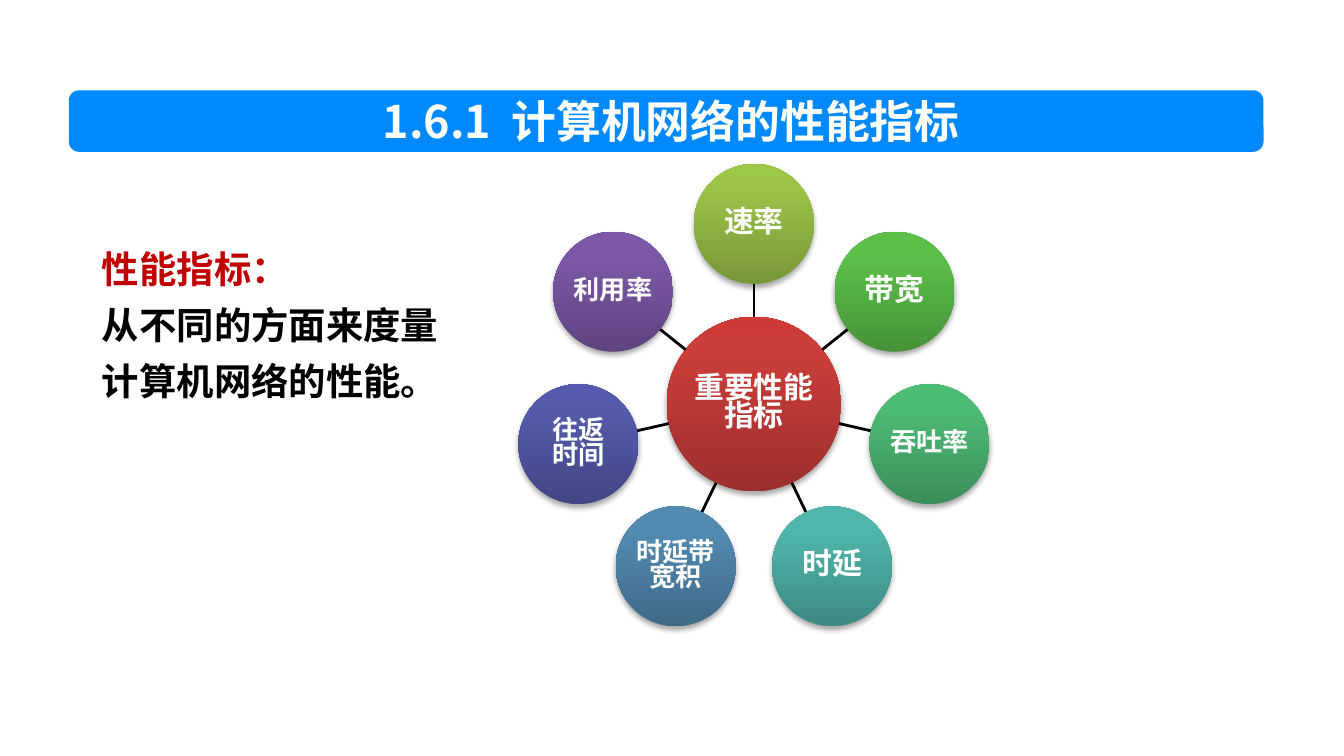
import math
from copy import deepcopy
from dataclasses import dataclass

import lxml.etree
import pptx
import pptx.dml.color
import pptx.enum.shapes
import pptx.enum.text
import pptx.oxml.ns
import pptx.util

Pt = pptx.util.Pt
qn = pptx.oxml.ns.qn
SHAPES = pptx.enum.shapes.MSO_SHAPE
CENTER = pptx.enum.text.PP_ALIGN.CENTER
MIDDLE = pptx.enum.text.MSO_ANCHOR.MIDDLE
FONT = "Noto Sans CJK SC"

HUB_X, HUB_Y = 403.9, 216.5
ORBIT = 96.5
SPOKE_START, SPOKE_END = 46.8, 64.4
HUB_SIZE, METRIC_SIZE = 93.6, 64.3


@dataclass
class Circle:
    lines: list[str]
    font_size: float
    colors: tuple[str, str, str]


HUB = Circle(["重要性能指标"], 16, ("9C2F2D", "CB3E3A", "CE3B37"))
METRICS = [
    Circle(["速率"], 16, ("779737", "9BC348", "9DC746")),
    Circle(["带宽"], 16, ("479339", "5CBF4A", "5BC249")),
    Circle(["吞吐率"], 14, ("3B8F5A", "4DBA75", "4BBD75")),
    Circle(["时延"], 16, ("3D8B83", "50B5AA", "4EB8AC")),
    Circle(["时延带宽积"], 14, ("3F6A88", "528AB0", "518BB3")),
    Circle(["往返", "时间"], 14, ("414684", "555BAB", "545AAE")),
    Circle(["利用率"], 14, ("5F4480", "7B58A6", "7C57A8")),
]


def rgb(color: str) -> pptx.dml.color.RGBColor:
    return pptx.dml.color.RGBColor.from_string(color)


def style_paragraph(paragraph, size: float, color: str) -> None:
    font = paragraph.font
    font.name = FONT
    font.size = Pt(size)
    font.bold = True
    font.color.rgb = rgb(color)
    defaults = paragraph._p.pPr.find(qn("a:defRPr"))
    lxml.etree.SubElement(defaults, qn("a:ea"), typeface=FONT)


def add_gradient(shape, colors: tuple[str, str, str]) -> None:
    shape.fill.gradient()
    shape.fill.gradient_angle = 90
    stop_list = shape._element.spPr.find(".//" + qn("a:gsLst"))
    stop_list.append(deepcopy(stop_list[-1]))
    for stop, color, position in zip(shape.fill.gradient_stops, colors, (0, 0.8, 1)):
        stop.color.rgb = rgb(color)
        stop.position = position


def add_shadow(shape) -> None:
    shape.shadow.inherit = False
    effects = shape._element.spPr.find(qn("a:effectLst"))
    shadow = lxml.etree.SubElement(
        effects, qn("a:outerShdw"), blurRad=str(Pt(3.1)), dist=str(Pt(1.8)),
        dir="5400000", rotWithShape="0")
    color = lxml.etree.SubElement(shadow, qn("a:srgbClr"), val="000000")
    lxml.etree.SubElement(color, qn("a:alpha"), val="35000")


def add_circle(slide, circle: Circle, x: float, y: float, size: float) -> None:
    shape = slide.shapes.add_shape(
        SHAPES.OVAL, Pt(x - size / 2), Pt(y - size / 2), Pt(size), Pt(size))
    add_gradient(shape, circle.colors)
    shape.line.fill.background()
    add_shadow(shape)
    frame = shape.text_frame
    frame.word_wrap = True
    frame.vertical_anchor = MIDDLE
    frame.margin_left = frame.margin_right = Pt(0.7)
    frame.margin_top = frame.margin_bottom = Pt(0.7)
    frame.text = "\n".join(circle.lines)
    for paragraph in frame.paragraphs:
        paragraph.alignment = CENTER
        paragraph.line_spacing = 0.8
        style_paragraph(paragraph, circle.font_size, "FFFFFF")


def add_spoke(slide, angle: float) -> None:
    dx, dy = math.cos(angle), math.sin(angle)
    spoke = slide.shapes.add_connector(
        pptx.enum.shapes.MSO_CONNECTOR.STRAIGHT,
        Pt(HUB_X + SPOKE_START * dx), Pt(HUB_Y + SPOKE_START * dy),
        Pt(HUB_X + SPOKE_END * dx), Pt(HUB_Y + SPOKE_END * dy))
    spoke.line.width = Pt(1.5)
    spoke.line.color.rgb = rgb("000000")
    lxml.etree.SubElement(spoke._element.spPr, qn("a:effectLst"))


def add_title(slide) -> None:
    banner = slide.shapes.add_shape(
        SHAPES.ROUNDED_RECTANGLE, Pt(36.9), Pt(48.4), Pt(640), Pt(33))
    banner.shadow.inherit = False
    banner.fill.solid()
    banner.fill.fore_color.rgb = rgb("0089FA")
    banner.line.fill.background()
    title = slide.shapes.add_textbox(Pt(98.6), Pt(50.4), Pt(522), Pt(28.8))
    frame = title.text_frame
    frame.word_wrap = True
    frame.vertical_anchor = MIDDLE
    paragraph = frame.paragraphs[0]
    for text in ("1.6.1", " ", "计算机网络的性能指标"):
        paragraph.add_run().text = text
    paragraph.runs[1]._r.get_or_add_rPr().set("spc", "540")
    paragraph.alignment = CENTER
    style_paragraph(paragraph, 24, "FFFFFF")


def add_definition(slide) -> None:
    box = slide.shapes.add_textbox(Pt(47.5), Pt(122.4), Pt(199.4), Pt(97.9))
    frame = box.text_frame
    frame.word_wrap = True
    frame.text = "性能指标：\n从不同的方面来度量计算机网络的性能。"
    for paragraph, color in zip(frame.paragraphs, ("C00000", "000000")):
        paragraph.line_spacing = Pt(30)
        style_paragraph(paragraph, 20, color)


def main() -> None:
    presentation = pptx.Presentation()
    presentation.slide_width = Pt(720)
    presentation.slide_height = Pt(405)
    slide = presentation.slides.add_slide(presentation.slide_layouts[6])
    add_title(slide)
    add_circle(slide, HUB, HUB_X, HUB_Y, HUB_SIZE)
    for index, metric in enumerate(METRICS):
        angle = math.tau * index / len(METRICS) - math.pi / 2
        add_spoke(slide, angle)
        add_circle(slide, metric, HUB_X + ORBIT * math.cos(angle),
                   HUB_Y + ORBIT * math.sin(angle), METRIC_SIZE)
    add_definition(slide)
    presentation.save("out.pptx")


if __name__ == "__main__":
    main()
